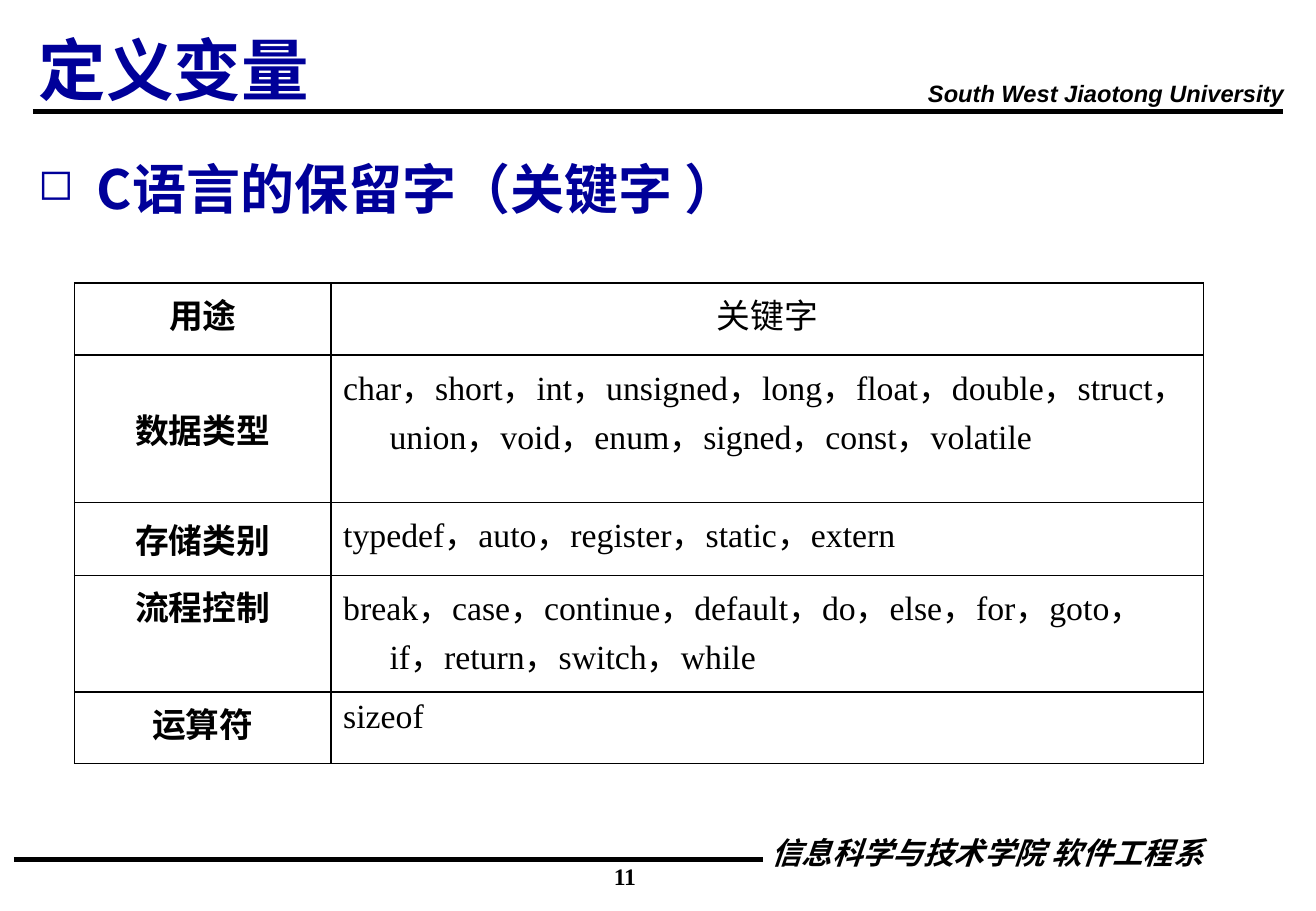
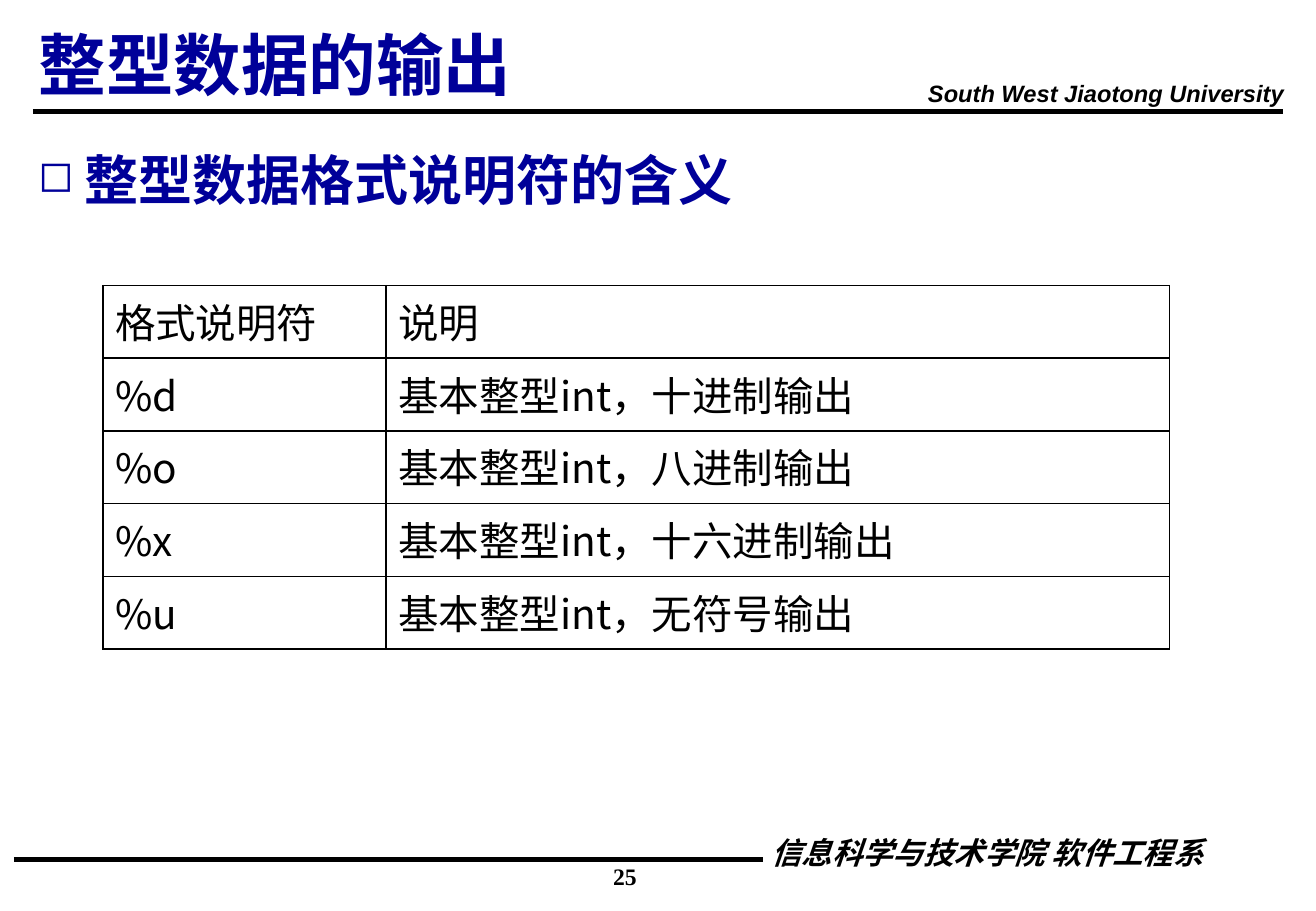
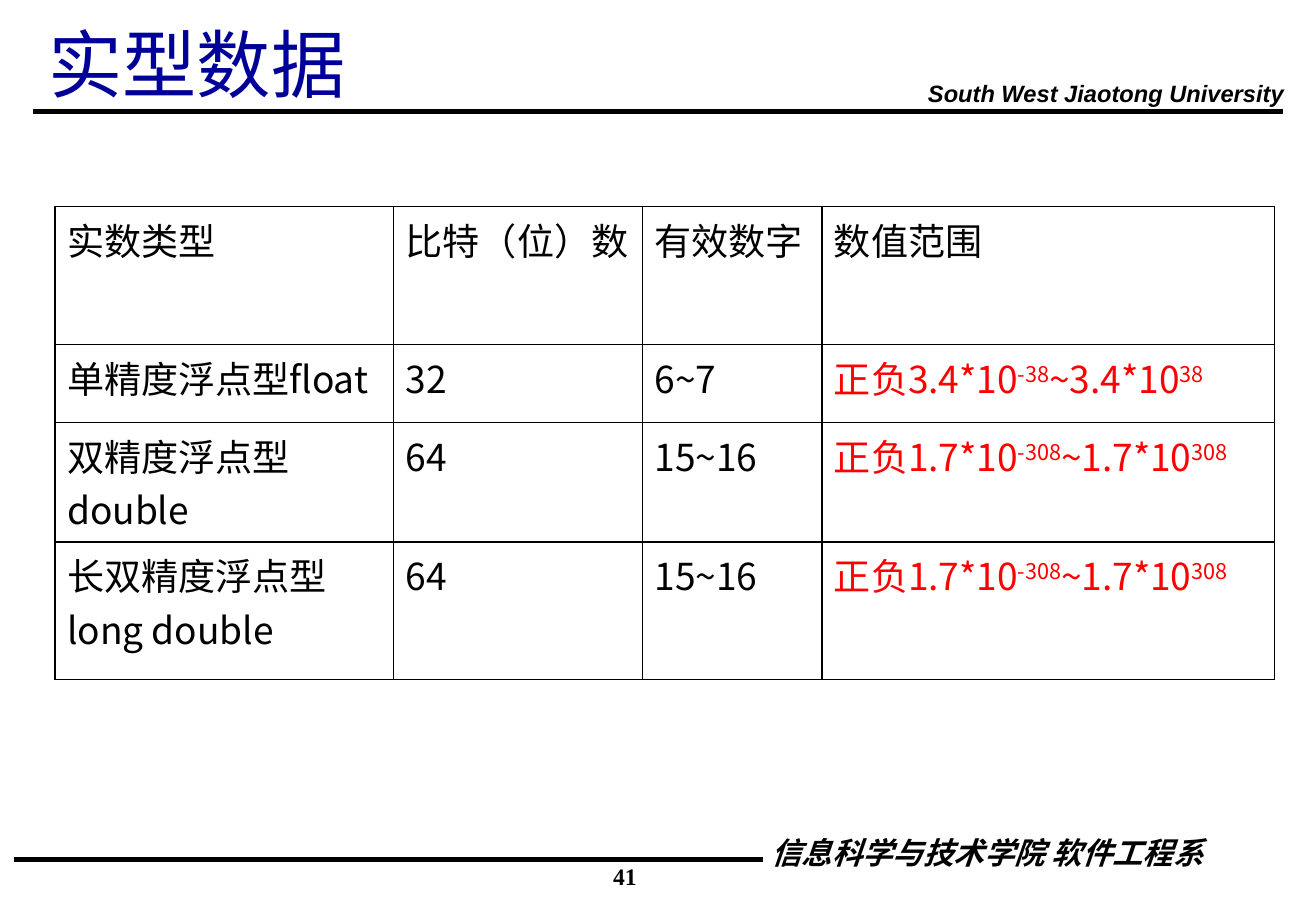
from lxml.etree import SubElement
from pptx import Presentation
from pptx.dml.color import RGBColor
from pptx.enum.shapes import MSO_CONNECTOR
from pptx.enum.text import MSO_ANCHOR, MSO_AUTO_SIZE, PP_ALIGN
from pptx.oxml import parse_xml
from pptx.oxml.ns import nsdecls, qn
from pptx.util import Cm, Pt

BLACK, NAVY, RED = "000000", "000099", "FF0000"
ARIAL, TIMES, NOTO = "Arial", "Times New Roman", "Noto Sans CJK SC"
HANGING = Cm(0.97)


def rgb(value):
    return RGBColor.from_string(value)


def format_run(r, size, font, color=BLACK, bold=False, italic=False):
    r.font.size = Pt(size)
    r.font.name = font
    r.font.bold = bold
    r.font.italic = italic
    r.font.color.rgb = rgb(color)
    SubElement(r.font._element, qn("a:ea")).set("typeface", NOTO)


def hang(p):
    pPr = p._p.get_or_add_pPr()
    pPr.set("marL", str(HANGING))
    pPr.set("indent", str(-HANGING))
    return pPr


def add_text(s, box, text, align=PP_ALIGN.LEFT, wrap=True, tight=False, **font):
    tf = s.shapes.add_textbox(*map(Cm, box)).text_frame
    tf.word_wrap = wrap
    tf.text = text
    p = tf.paragraphs[0]
    p.alignment = align
    if tight:
        p.line_spacing = 0.7
        p.space_before = Pt(font["size"] * 0.2)
    format_run(p.runs[0], **font)
    return p


def add_rule(s, left, right, y):
    line = s.shapes.add_connector(
        MSO_CONNECTOR.STRAIGHT, Cm(left), Cm(y), Cm(right), Cm(y))
    line.line.color.rgb = rgb(BLACK)
    line.line.width = Pt(3)
    SubElement(line._element.spPr, qn("a:effectLst"))


def add_slide(prs, number, title, box, size=40, bold=True):
    s = prs.slides.add_slide(prs.slide_layouts[5])
    add_rule(s, 0.69, 26.82, 2.34)
    add_text(s, (19.15, 1.68, 7.98, 0.69), "South West Jiaotong University",
             wrap=False, tight=True, size=14, font=ARIAL, bold=True, italic=True)
    add_rule(s, 0.29, 15.95, 17.98)
    add_text(s, (13.35, 17.53, 12.06, 0.79), "信息科学与技术学院 软件工程系",
             align=PP_ALIGN.RIGHT, tight=True, size=18, font=NOTO, bold=True, italic=True)
    add_text(s, (8.71, 17.89, 8.71, 0.84), str(number),
             align=PP_ALIGN.CENTER, size=14, font=TIMES, bold=True)
    sp = s.shapes.title
    sp.left, sp.top, sp.width, sp.height = map(Cm, box)
    tf = sp.text_frame
    tf.text = title
    tf.auto_size = MSO_AUTO_SIZE.NONE
    tf.vertical_anchor = MSO_ANCHOR.MIDDLE
    tf.paragraphs[0].alignment = PP_ALIGN.LEFT
    format_run(tf.paragraphs[0].runs[0], size, TIMES, NAVY, bold)
    return s


def add_bullet(s, top, text):
    p = add_text(s, (0.55, top, 25.4, 1.9), text,
                 size=32, font=NOTO, color=NAVY, bold=True)
    p.space_before = Pt(6.4)
    pPr = hang(p)
    SubElement(pPr, qn("a:buSzPct")).set("val", "80000")
    SubElement(pPr, qn("a:buChar")).set("char", "◻")


def format_cell(cell, text, align=PP_ALIGN.LEFT, anchor=MSO_ANCHOR.TOP,
                hanging=False, **font):
    cell.fill.background()
    cell.vertical_anchor = anchor
    tcPr = cell._tc.get_or_add_tcPr()
    for i, side in enumerate("LRTB"):
        tcPr.insert(i, parse_xml(
            f'<a:ln{side} {nsdecls("a")} w="{Pt(1)}"><a:solidFill>'
            f'<a:srgbClr val="{BLACK}"/></a:solidFill></a:ln{side}>'))
    tf = cell.text_frame
    tf.text = text
    for p in tf.paragraphs:
        p.alignment = align
        if hanging:
            hang(p)
        parts = p.text.split("^")
        p.text = parts[0]
        for part in parts[1:]:
            p.add_run().text = part
        for i, r in enumerate(p.runs):
            format_run(r, **font)
            if i % 2:
                r.font._element.set("baseline", "30000")


def add_grid(s, left, top, widths, heights, rows, style):
    frame = s.shapes.add_table(len(rows), len(widths), Cm(left), Cm(top),
                               Cm(sum(widths)), Cm(sum(heights)))
    table = frame.table
    table.first_row = table.horz_banding = False
    for column, width in zip(table.columns, widths):
        column.width = Cm(width)
    for i, (row, height) in enumerate(zip(rows, heights)):
        table.rows[i].height = Cm(height)
        for j, text in enumerate(row):
            format_cell(table.cell(i, j), text, **style(i, j))


def keyword_style(i, j):
    label = j == 0
    return dict(size=20, font=ARIAL if label or i == 0 else TIMES, bold=label, hanging=True,
                align=PP_ALIGN.CENTER if label or i == 0 else PP_ALIGN.LEFT,
                anchor=MSO_ANCHOR.MIDDLE if label and i in (1, 2) else MSO_ANCHOR.TOP)


def specifier_style(i, j):
    return dict(size=24, font=NOTO, hanging=True)


def real_style(i, j):
    return dict(size=22, font=NOTO, color=RED if i and j == 3 else BLACK)


def keywords_slide(prs):
    s = add_slide(prs, 11, "定义变量", (0.56, 0.53, 23.19, 1.8))
    add_bullet(s, 3.12, " C语言的保留字（关键字 ）")
    rows = [
        ("用途", "关键字"),
        ("数据类型", "char，short，int，unsigned，long，float，double，struct， "
                 "union，void，enum，signed，const，volatile"),
        ("存储类别", "typedef，auto，register，static，extern"),
        ("流程控制", "break，case，continue，default，do，else，for，goto，if，"
                 "return，switch，while"),
        ("运算符", "sizeof"),
    ]
    add_grid(s, 1.56, 5.92, (5.36, 18.24), (1.5, 3.09, 1.52, 2.44, 1.5), rows, keyword_style)


def specifiers_slide(prs):
    s = add_slide(prs, 25, "整型数据的输出", (0.56, 0.33, 23.19, 2.01))
    add_bullet(s, 2.95, "整型数据格式说明符的含义")
    bases = [("%d", "十进制"), ("%o", "八进制"), ("%x", "十六进制"), ("%u", "无符号")]
    rows = [("格式说明符", "说明")]
    rows += [(mark, f"基本整型int，{base}输出") for mark, base in bases]
    add_grid(s, 2.15, 5.97, (5.92, 16.38), [1.52] * len(rows), rows, specifier_style)


def reals_slide(prs):
    s = add_slide(prs, 41, "实型数据", (0.76, 0, 23.39, 2.62), size=44, bold=False)
    double_range = "正负1.7*10^-308^~1.7*10^308"
    rows = [
        ("实数类型", "比特（位）数", "有效数字", "数值范围"),
        ("单精度浮点型float", "32", "6~7", "正负3.4*10^-38^~3.4*10^38"),
        ("双精度浮点型double", "64", "15~16", double_range),
        ("长双精度浮点型\nlong double", "64", "15~16", double_range),
    ]
    add_grid(s, 1.15, 4.32, (7.08, 5.2, 3.75, 9.46), (2.88, 1.63, 2.5, 2.88), rows, real_style)


def main():
    prs = Presentation()
    prs.slide_width, prs.slide_height = Cm(27.51), Cm(19.05)
    keywords_slide(prs)
    specifiers_slide(prs)
    reals_slide(prs)
    prs.save("out.pptx")


if __name__ == "__main__":
    main()
